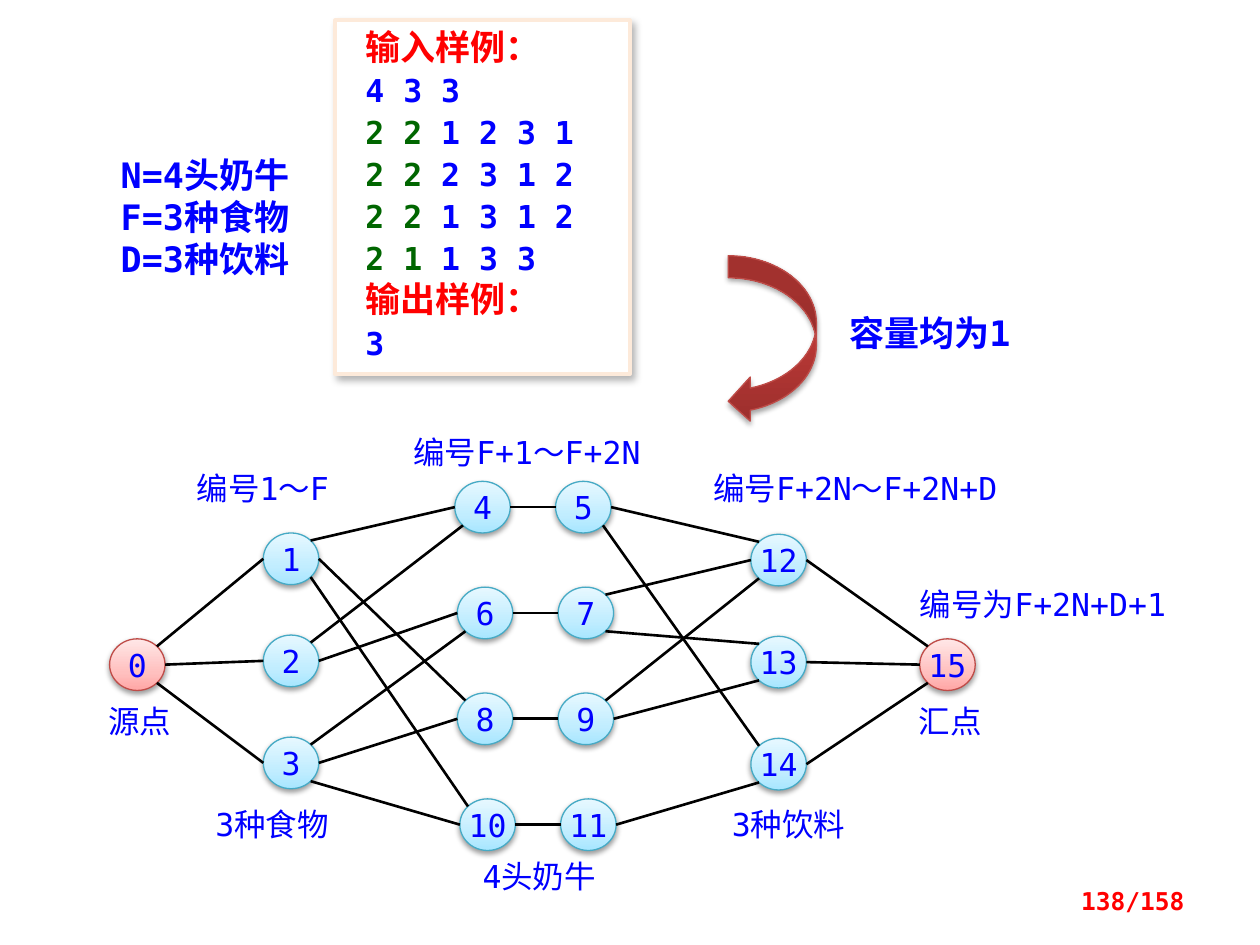
"""Builds the flow network slide with its sample input and output."""
import copy
import math

import lxml.etree
import pptx
import pptx.dml.color
import pptx.enum.shapes
import pptx.enum.text
import pptx.oxml.ns
import pptx.util

RGB = pptx.dml.color.RGBColor
SHAPE = pptx.enum.shapes.MSO_SHAPE
ALIGN = pptx.enum.text.PP_ALIGN
ANCHOR = pptx.enum.text.MSO_ANCHOR
Inches, Pt, qn = pptx.util.Inches, pptx.util.Pt, pptx.oxml.ns.qn

FONT = "DejaVu Sans Mono"
BLUE, RED, GREEN = RGB(0, 0, 0xFF), RGB(0xFF, 0, 0), RGB(0, 0x66, 0)
WHITE, BLACK = RGB(0xFF, 0xFF, 0xFF), RGB(0, 0, 0)
PEACH, BRICK, TEAL = RGB(0xFD, 0xEA, 0xDA), RGB(0xBF, 0x4C, 0x48), RGB(0x46, 0xAA, 0xC5)
PINK_FADE = [(0, RGB(0xFF, 0xA6, 0xA5)), (0.35, RGB(0xFF, 0xC0, 0xBF)), (1, RGB(0xFF, 0xE7, 0xE7))]
SKY_FADE = [(0, RGB(0xA7, 0xE6, 0xFF)), (0.35, RGB(0xC1, 0xED, 0xFF)), (1, RGB(0xE7, 0xF8, 0xFF))]
BRICK_FADE = [(0, RGB(0x9C, 0x2F, 0x2D)), (0.8, RGB(0xCB, 0x3E, 0x3A)), (1, RGB(0xCE, 0x3B, 0x37))]

SAMPLE = [
    [("输入样例：", 20, RED)],
    [("4 3 3", 18, BLUE)],
    [("2 2", 18, GREEN), (" 1 2 3 1", 18, BLUE)],
    [("2 2", 18, GREEN), (" 2 3 1 2", 18, BLUE)],
    [("2 2", 18, GREEN), (" 1 3 1 2", 18, BLUE)],
    [("2 1", 18, GREEN), (" 1 3 3", 18, BLUE)],
    [("输出样例：", 20, RED)],
    [("3", 18, BLUE)],
]
NOTES = [
    (["N=4头奶牛", "F=3种食物", "D=3种饮料"], (0.86, 1.17, 1.64, 1.11)),
    (["容量均为1"], (6.64, 2.42, 1.64, 0.44)),
]
LABELS = [
    ("源点", 0.86, 5.57, 0.55), ("汇点", 7.29, 5.57, 0.55),
    ("3种食物", 1.71, 6.39, 1.06), ("3种饮料", 5.81, 6.39, 1.06),
    ("4头奶牛", 3.83, 6.8, 1.06), ("编号1～F", 1.56, 3.72, 1.21),
    ("编号F+1～F+2N", 3.28, 3.44, 2.01),
    ("编号F+2N～F+2N+D", 5.66, 3.72, 2.63),
    ("编号为F+2N+D+1", 7.3, 4.64, 2.15),
]
NODE_W, NODE_H = 0.44, 0.41
COW_LEFTS = [3.61, 3.63, 3.63, 3.65]
EDGES = [
    (0, "NE", 1, "W"), (0, "E", 2, "W"), (0, "SE", 3, "W"),
    (1, "NE", 4, "W"), (2, "NE", 4, "SW"), (2, "E", 6, "W"), (3, "NE", 6, "SW"),
    (1, "E", 8, "NW"), (3, "E", 8, "W"), (1, "SE", 10, "NW"), (3, "SE", 10, "W"),
    (4, "E", 5, "W"), (6, "E", 7, "W"), (8, "E", 9, "W"), (10, "E", 11, "W"),
    (5, "E", 12, "NW"), (5, "SE", 14, "NW"), (7, "NE", 12, "W"), (7, "SE", 13, "NW"),
    (9, "NE", 12, "SW"), (9, "E", 13, "SW"), (11, "E", 14, "SW"),
    (12, "E", 15, "NW"), (13, "E", 15, "W"), (14, "E", 15, "SW"),
]
COMPASS = {"E": 0, "SE": 45, "SW": 135, "W": 180, "NW": 225, "NE": 315}


def write(tf, paragraphs, bold=False, align=ALIGN.LEFT, spacing=None, insets=None):
    tf.word_wrap = True
    if insets:
        tf.margin_left, tf.margin_top, tf.margin_right, tf.margin_bottom = map(Inches, insets)
    for i, runs in enumerate(paragraphs):
        p = tf.add_paragraph() if i else tf.paragraphs[0]
        p.alignment = align
        if spacing:
            p.line_spacing = spacing
        for text, size, color in runs:
            r = p.add_run()
            r.text = text
            r.font.name, r.font.size, r.font.bold = FONT, Pt(size), bold
            r.font.color.rgb = color


def add_text(s, at, paragraphs, **style):
    tf = s.shapes.add_textbox(*map(Inches, at)).text_frame
    write(tf, paragraphs, **style)
    return tf


def add_shadow(sp, alpha, blur, dist, angle):
    sp.shadow.inherit = False
    effects = sp._element.spPr.find(qn("a:effectLst"))
    shadow = lxml.etree.SubElement(
        effects, qn("a:outerShdw"), blurRad=str(Pt(blur)), dist=str(Pt(dist)),
        dir=str(angle * 60000), algn="ctr", rotWithShape="0")
    color = lxml.etree.SubElement(shadow, qn("a:srgbClr"), val="000000")
    lxml.etree.SubElement(color, qn("a:alpha"), val=str(alpha * 1000))


def add_faded(s, kind, at, fade, line, shadow):
    sp = s.shapes.add_shape(kind, *map(Inches, at))
    sp.fill.gradient()
    sp.fill.gradient_angle = 90
    stops = next(sp._element.spPr.iter(qn("a:gsLst")))
    stops.append(copy.deepcopy(stops[0]))
    for stop, (position, color) in zip(sp.fill.gradient_stops, fade):
        stop.position = position
        stop.color.rgb = color
    sp.line.color.rgb, sp.line.width = line, Pt(0.75)
    add_shadow(sp, *shadow)
    return sp


def node_places():
    places = {0: (0.87, 5.07), 15: (7.3, 5.07)}
    for i in range(3):
        places[1 + i] = (2.09, 4.23 + 0.81 * i)
        places[12 + i] = (5.96, 4.24 + 0.81 * i)
    for i, left in enumerate(COW_LEFTS):
        for side in range(2):
            places[4 + 2 * i + side] = (left + 0.8 * side, 3.82 + 0.84 * i)
    return places


def rim_point(place, side):
    angle = math.radians(COMPASS[side])
    return (Inches(place[0] + NODE_W / 2 * (1 + math.cos(angle))),
            Inches(place[1] + NODE_H / 2 * (1 + math.sin(angle))))


def add_network(s):
    places = node_places()
    for number, place in sorted(places.items()):
        fade, line = (PINK_FADE, BRICK) if number in (0, 15) else (SKY_FADE, TEAL)
        sp = add_faded(s, SHAPE.OVAL, (*place, NODE_W, NODE_H), fade, line, (38, 3.1, 1.6, 90))
        write(sp.text_frame, [[(str(number), 18, BLUE)]], align=ALIGN.CENTER, insets=(0, 0, 0, 0))
    for start, start_side, end, end_side in EDGES:
        edge = s.shapes.add_connector(
            pptx.enum.shapes.MSO_CONNECTOR.STRAIGHT,
            *rim_point(places[start], start_side), *rim_point(places[end], end_side))
        edge.line.color.rgb, edge.line.width = BLACK, Pt(1.5)
        lxml.etree.SubElement(edge._element.spPr, qn("a:effectLst"))
    for text, left, top, width in LABELS:
        add_text(s, (left, top, width, 0.31), [[(text, 18, BLUE)]], insets=(0, 0, 0, 0))


def add_sample(s):
    sp = s.shapes.add_shape(SHAPE.RECTANGLE, *map(Inches, (2.66, 0.16, 2.34, 2.81)))
    sp.fill.solid()
    sp.fill.fore_color.rgb = WHITE
    sp.line.color.rgb, sp.line.width = PEACH, Pt(2)
    add_shadow(sp, 30, 4.5, 2.6, 53)
    sp.text_frame.vertical_anchor = ANCHOR.TOP
    write(sp.text_frame, SAMPLE, bold=True, spacing=Pt(24), insets=(0.24, 0.04, 0.1, 0.04))


def main():
    prs = pptx.Presentation()
    prs.slide_width, prs.slide_height = Inches(10), Inches(7.5)
    s = prs.slides.add_slide(prs.slide_layouts[6])
    add_sample(s)
    for lines, at in NOTES:
        add_text(s, at, [[(line, 20, BLUE)] for line in lines], bold=True)
    add_network(s)
    add_faded(s, SHAPE.CURVED_LEFT_ARROW, (5.78, 2.03, 0.7, 1.33), BRICK_FADE, BRICK, (35, 3.1, 1.8, 90))
    tf = add_text(s, (7.17, 6.95, 2.33, 0.4), [[("138/158", 14, RED)]], bold=True, align=ALIGN.RIGHT)
    tf.vertical_anchor = ANCHOR.MIDDLE
    prs.save("out.pptx")


if __name__ == "__main__":
    main()
